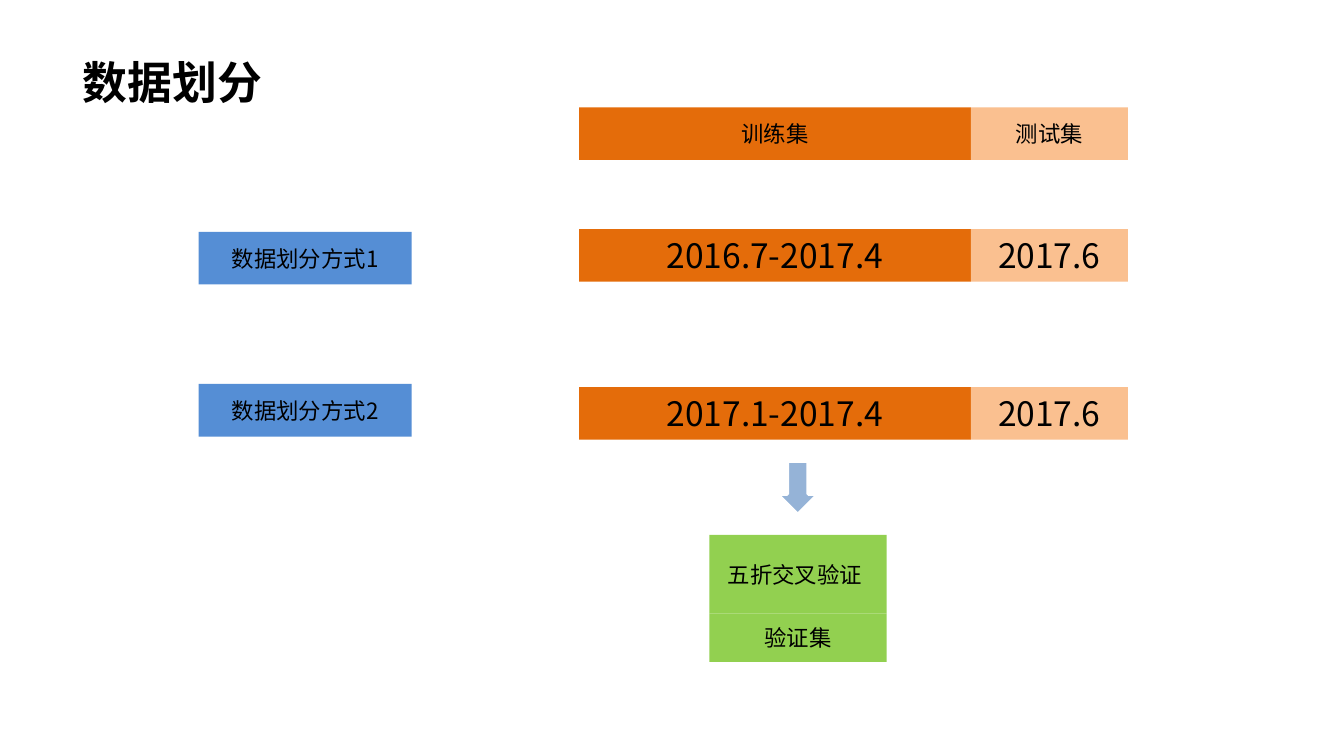
from lxml.etree import SubElement
from pptx import Presentation
from pptx.dml.color import RGBColor
from pptx.enum.shapes import MSO_SHAPE as Shape
from pptx.enum.text import MSO_ANCHOR as Anchor, MSO_AUTO_SIZE as AutoSize, PP_ALIGN as Align
from pptx.oxml.ns import qn
from pptx.util import Pt

FONT = "Noto Sans CJK SC"
BLACK, WHITE = "000000", "FFFFFF"
ORANGE, PEACH, BLUE, GREEN, ARROW_BLUE = "E46C0A", "FAC090", "558ED5", "92D050", "95B3D7"

BAR_HEIGHT = 28.2
TRAIN_LEFT, TRAIN_WIDTH = 310.2, 209.9
TEST_WIDTH = 84.2
FOLD_LEFT, FOLD_TOP, FOLD_WIDTH, FOLD_HEIGHT = 380.1, 286.6, 94.9, 42


def color(hex_code):
    return RGBColor.from_string(hex_code)


def write(frame, text, size, align, bold=False):
    frame.text = text
    para = frame.paragraphs[0]
    para.alignment = align
    for span in para.runs:
        font = span.font
        font.size = Pt(size)
        font.bold = bold
        font.color.rgb = color(BLACK)
        font.name = FONT
        # Chinese glyphs take their face from the East Asian font.
        SubElement(span._r.get_or_add_rPr(), qn("a:ea"), typeface=FONT)


def add_title(page, text, left, top, width, height):
    box = page.shapes.add_textbox(Pt(left), Pt(top), Pt(width), Pt(height))
    box.text_frame.word_wrap = False
    box.text_frame.auto_size = AutoSize.SHAPE_TO_FIT_TEXT
    write(box.text_frame, text, 24, Align.LEFT, bold=True)


def add_filled(page, kind, left, top, width, height, fill):
    shape = page.shapes.add_shape(kind, Pt(left), Pt(top), Pt(width), Pt(height))
    shape.shadow.inherit = False
    shape.fill.solid()
    shape.fill.fore_color.rgb = color(fill)
    shape.line.fill.background()
    return shape


def add_block(page, text, left, top, width, height, fill, size=12, align=Align.CENTER):
    block = add_filled(page, Shape.RECTANGLE, left, top, width, height, fill)
    block.text_frame.word_wrap = True
    block.text_frame.vertical_anchor = Anchor.MIDDLE
    write(block.text_frame, text, size, align)


def add_split(page, top, train, test, size):
    """Training bar with the test bar joined to its right."""
    add_block(page, train, TRAIN_LEFT, top, TRAIN_WIDTH, BAR_HEIGHT, ORANGE, size)
    add_block(page, test, TRAIN_LEFT + TRAIN_WIDTH, top, TEST_WIDTH, BAR_HEIGHT, PEACH, size)


def add_down_arrow(page, left, top, width, height):
    arrow = add_filled(page, Shape.DOWN_ARROW, left, top, width, height, ARROW_BLUE)
    arrow.line.color.rgb = color(WHITE)
    arrow.line.width = Pt(2)


def main():
    deck = Presentation()
    deck.slide_width, deck.slide_height = Pt(720), Pt(405)
    page = deck.slides.add_slide(deck.slide_layouts[6])

    add_title(page, "数据划分", 37.4, 25.9, 112.3, 36)
    add_down_arrow(page, 416.2, 247, 22.3, 28.8)

    for top, train, test, size in (
        (57.5, "训练集", "测试集", 12),
        (122.7, "2016.7-2017.4", "2017.6", 18),
        (207.4, "2017.1-2017.4", "2017.6", 18),
    ):
        add_split(page, top, train, test, size)

    for top, label in ((124.2, "数据划分方式1"), (205.7, "数据划分方式2")):
        add_block(page, label, 106.5, top, 114, BAR_HEIGHT, BLUE)

    add_block(page, " 五折交叉验证", FOLD_LEFT, FOLD_TOP, FOLD_WIDTH, FOLD_HEIGHT,
              GREEN, align=Align.LEFT)
    add_block(page, "验证集", FOLD_LEFT, FOLD_TOP + FOLD_HEIGHT, FOLD_WIDTH, 26, GREEN)

    deck.save("out.pptx")


if __name__ == "__main__":
    main()
